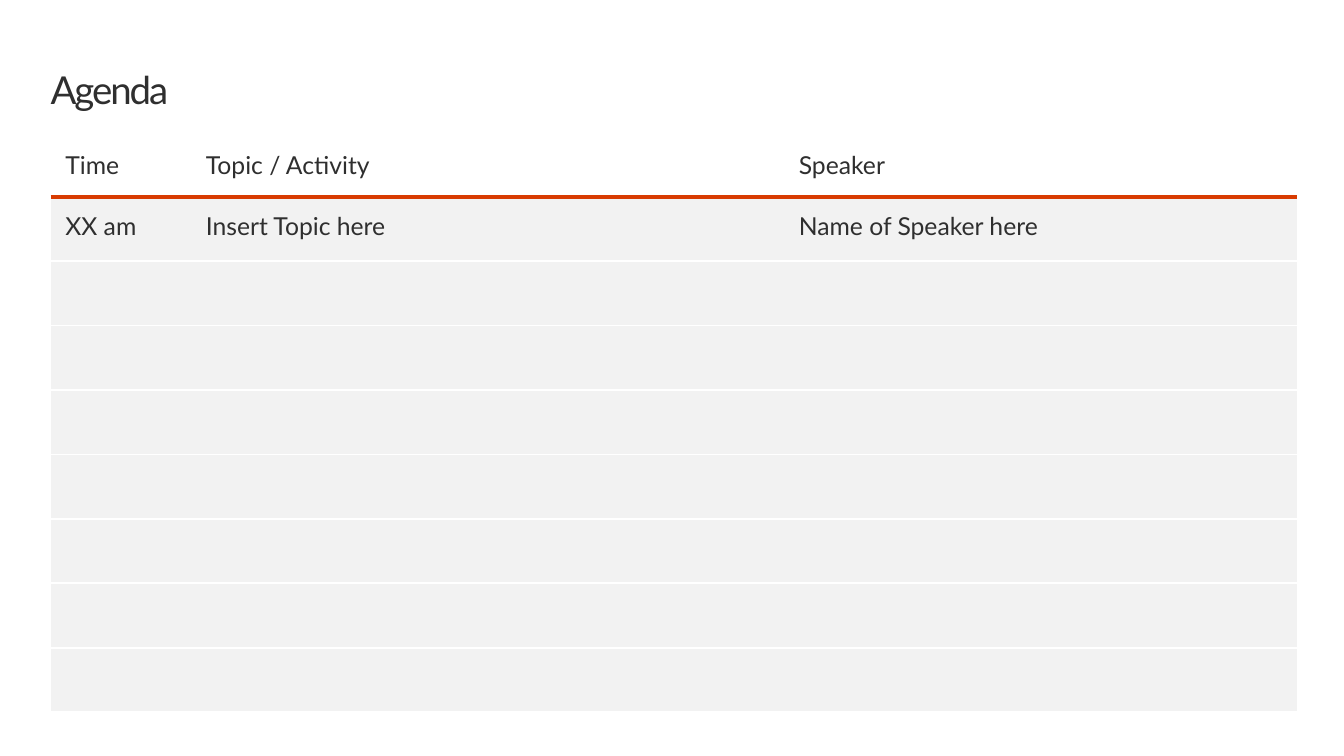
from dataclasses import dataclass

from lxml import etree
from pptx import Presentation
from pptx.dml.color import RGBColor
from pptx.enum import text
from pptx.oxml import ns
from pptx.util import Cm, Pt


@dataclass(frozen=True)
class Theme:
    font: str = "Lato"
    ink: str = "2F2F2F"
    accent: str = "D83B01"
    band: str = "F2F2F2"
    paper: str = "FFFFFF"
    title_size: int = 28
    body_size: int = 18


THEME = Theme()
HEADINGS = ("Time", "Topic / Activity", "Speaker")
SESSIONS = [("XX am", "Insert Topic here", "Name of Speaker here")]
SESSION_ROWS = 8
COLUMN_WIDTHS = (3.61, 15.24, 13.18)  # cm


def style_text(p, size):
    p.alignment = text.PP_ALIGN.LEFT
    p.font.name = THEME.font
    p.font.size = Pt(size)
    p.font.bold = False
    p.font.color.rgb = RGBColor.from_string(THEME.ink)


def set_border(cell, side, color=None, width=0):
    """Add one border; without a color the side stays clear."""
    ln = etree.SubElement(cell._tc.get_or_add_tcPr(), ns.qn(f"a:ln{side}"), w=str(Pt(width)))
    if color is None:
        etree.SubElement(ln, ns.qn("a:noFill"))
    else:
        fill = etree.SubElement(ln, ns.qn("a:solidFill"))
        etree.SubElement(fill, ns.qn("a:srgbClr"), val=color)


def add_title(s, left, top, width, height):
    sp = s.shapes.title
    sp.left, sp.top, sp.width, sp.height = left, top, width, height
    tf = sp.text_frame
    tf.margin_left = tf.margin_right = tf.margin_top = tf.margin_bottom = 0
    tf.vertical_anchor = text.MSO_ANCHOR.TOP
    tf.auto_size = text.MSO_AUTO_SIZE.NONE
    p = tf.paragraphs[0]
    r = p.add_run()
    r.text = "Agenda"
    r._r.get_or_add_rPr().set("spc", "-150")
    p.line_spacing = Pt(32)
    style_text(p, THEME.title_size)


def format_cell(cell, words, is_header, below_header):
    # Borders: the accent rule parts the header from the sessions
    set_border(cell, "L")
    set_border(cell, "R")
    rule, hairline = (THEME.accent, 3), (THEME.paper, 1.5)
    set_border(cell, "T", *(rule if below_header else hairline))
    set_border(cell, "B", *(rule if is_header else hairline))

    # Fill
    if is_header:
        cell.fill.background()
        cell.vertical_anchor = text.MSO_ANCHOR.MIDDLE
    else:
        cell.fill.solid()
        cell.fill.fore_color.rgb = RGBColor.from_string(THEME.band)

    # Text
    cell.margin_left = cell.margin_right = Cm(0.38)
    cell.margin_top = cell.margin_bottom = Cm(0.38)
    if words:
        cell.text = words
        style_text(cell.text_frame.paragraphs[0], THEME.body_size)


def add_agenda(s, left, top, width, height):
    rows = [HEADINGS] + SESSIONS
    rows += [("",) * len(HEADINGS)] * (SESSION_ROWS - len(SESSIONS))
    table = s.shapes.add_table(len(rows), len(HEADINGS), left, top, width, height).table
    table.horz_banding = False
    for column, share in zip(table.columns, COLUMN_WIDTHS):
        column.width = int(width * share / sum(COLUMN_WIDTHS))
    for i, row in enumerate(rows):
        table.rows[i].height = height // len(rows)
        for j, words in enumerate(row):
            format_cell(table.cell(i, j), words, i == 0, i == 1)


def main():
    prs = Presentation()
    prs.slide_width, prs.slide_height = Cm(34.54), Cm(19.43)
    s = prs.slides.add_slide(prs.slide_layouts[5])
    left, width = Cm(1.3), Cm(32.03)
    add_title(s, left, Cm(1.75), width, Cm(1.14))
    add_agenda(s, left, Cm(3.4), width, Cm(14.91))
    prs.save("out.pptx")


if __name__ == "__main__":
    main()
